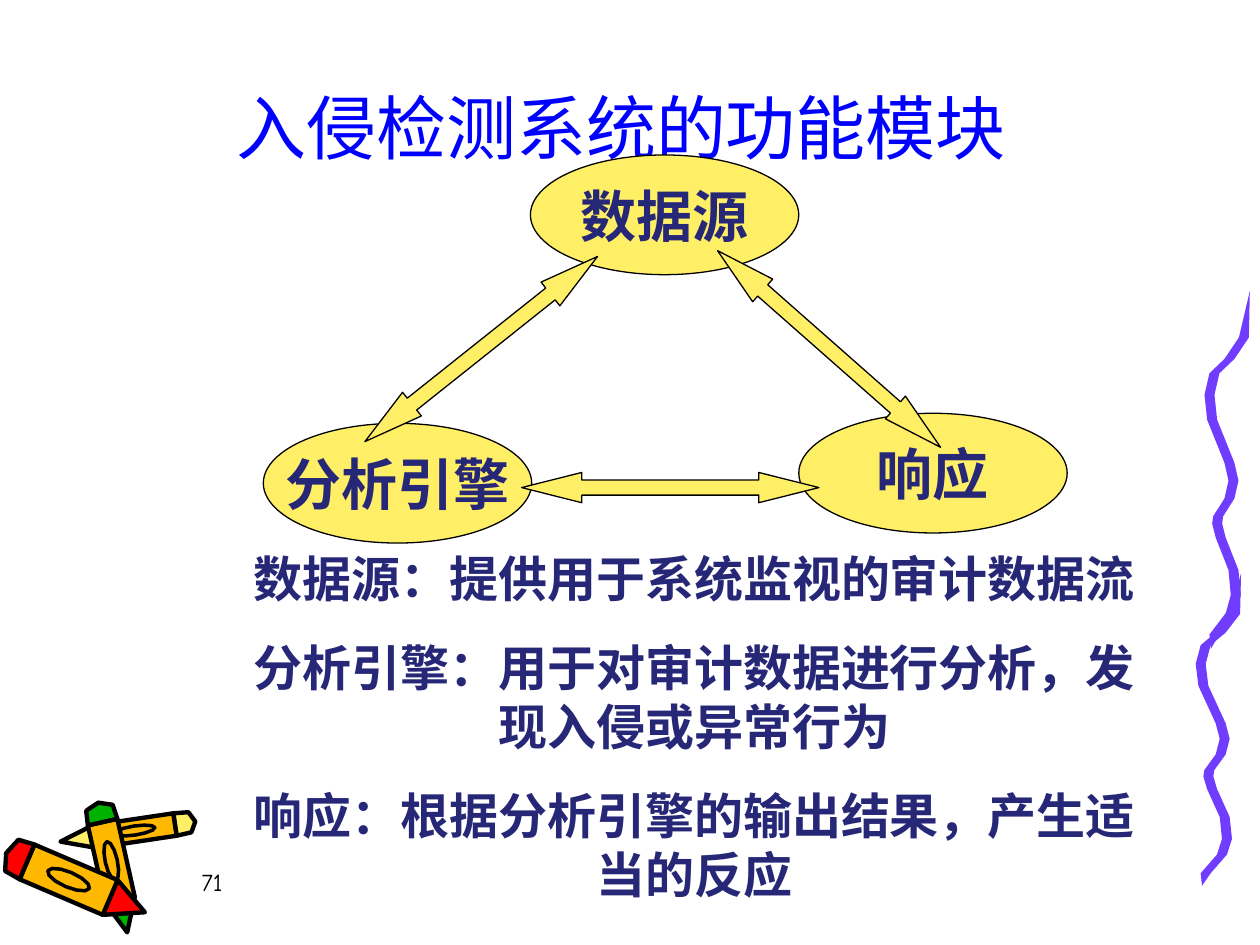
from math import cos, hypot, pi, sin

from pptx import Presentation
from pptx.dml.color import RGBColor
from pptx.enum import shapes, text
from pptx.util import Inches, Pt

BLACK = RGBColor(0x00, 0x00, 0x00)
YELLOW = RGBColor(0xFF, 0xEF, 0x66)
RED = RGBColor(0xFF, 0x00, 0x00)
ORANGE = RGBColor(0xFF, 0xB8, 0x00)
GREEN = RGBColor(0x00, 0xB2, 0x00)
PURPLE = RGBColor(0x70, 0x3D, 0xFF)
BLUE = RGBColor(0x00, 0x00, 0xFF)
NAVY = RGBColor(0x27, 0x27, 0x77)


def paint(sp, color, line_width):
    sp.shadow.inherit = False
    sp.fill.solid()
    sp.fill.fore_color.rgb = color
    if line_width:
        sp.line.color.rgb = BLACK
        sp.line.width = Pt(line_width)
    else:
        sp.line.fill.background()


def write(sp, lines, color, font, frame, para):
    tf = sp.text_frame
    for name, value in frame.items():
        setattr(tf, name, value)
    for i, line in enumerate(lines):
        p = tf.paragraphs[0] if i == 0 else tf.add_paragraph()
        for name, value in para.items():
            if i or name != "space_before":
                setattr(p, name, value)
        r = p.add_run()
        r.text = line
        for name, value in font.items():
            setattr(r.font, name, value)
        r.font.color.rgb = color


prs = Presentation()
prs.slide_width, prs.slide_height = Inches(10), Inches(7.5)
s = prs.slides.add_slide(prs.slide_layouts[6])

cap = [(0.15, -1), (0.04, -0.9), (0, 0), (0.04, 0.9), (0.15, 1)]
barrel = [(0.15, -1), (0.75, -1), (0.75, 1), (0.15, 1)]
tip = [(0.75, -1), (1, 0), (0.75, 1)]
mark = [(0.45 + 0.15 * cos(k * pi / 6), 0.4 * sin(k * pi / 6)) for k in range(12)]

figures = []
for end, point, half_width, end_color in [
    ((1.55, 6.52), (0.48, 6.68), 0.09, YELLOW),
    ((0.78, 6.37), (1.01, 7.4), 0.12, GREEN),
    ((0.05, 6.77), (1.15, 7.24), 0.15, RED),
]:
    along = (point[0] - end[0], point[1] - end[1])
    length = hypot(*along)
    across = (-along[1] / length * half_width, along[0] / length * half_width)
    for part, color, line_width in [
        (tip, end_color, 2.5), (barrel, ORANGE, 2.5), (cap, end_color, 2.5), (mark, ORANGE, 2),
    ]:
        figures.append((end, along, across, part, color, line_width))

bends = [(0.76, 0.13), (0.44, 0.19), (0.11, 0.23), (0, 0.29), (0.06, 0.36), (0.44, 0.48),
         (0.53, 0.53), (0.44, 0.58), (0.19, 0.63), (0.17, 0.65), (0.25, 0.69), (0.53, 0.78),
         (0.58, 0.85), (0.47, 0.9), (0.11, 0.96)]
band = 0.22
right_edge = [(x + band, y) for x, y in reversed(bends)]
ribbon = [(1, 0), *bends, (0.14, 1), *right_edge]
for left, top, width, height in [(9.49, 4.55, 0.36, 2.48), (9.56, 2.31, 0.36, 2.84)]:
    figures.append(((left, top), (width, 0), (0, height), ribbon, PURPLE, 0))

for origin, along, across, part, color, line_width in figures:
    points = [tuple(Inches(origin[i] + a * along[i] + b * across[i]) for i in (0, 1))
              for a, b in part]
    builder = s.shapes.build_freeform(*points[0])
    builder.add_line_segments(points[1:], close=True)
    paint(builder.convert_to_shape(), color, line_width)

center = {"alignment": text.PP_ALIGN.CENTER}
number = s.shapes.add_textbox(Inches(1.5), Inches(6.83), Inches(2.08), Inches(0.5))
write(number, ["71"], BLACK, {"name": "Comic Neue", "size": Pt(14)}, {"word_wrap": True}, {})

title = s.shapes.add_textbox(Inches(0.43), Inches(0.6), Inches(9), Inches(0.79))
write(title, ["入侵检测系统的功能模块"], BLUE, {"name": "Comic Neue", "size": Pt(40)},
      {"word_wrap": True, "vertical_anchor": text.MSO_ANCHOR.BOTTOM}, center)

bold = {"name": "Times New Roman", "size": Pt(32), "bold": True}
for label, x, y in [("数据源", 4.21, 1.23), ("响应", 6.34, 3.28), ("分析引擎", 2.09, 3.36)]:
    sp = s.shapes.add_shape(shapes.MSO_SHAPE.OVAL, Inches(x), Inches(y), Inches(2.13), Inches(0.95))
    paint(sp, YELLOW, 0.75)
    write(sp, [label], NAVY, bold,
          {"word_wrap": False, "vertical_anchor": text.MSO_ANCHOR.MIDDLE}, center)

for x, y, rotation in [(4.14, 3.75, 0), (5.4, 2.65, 41.4), (2.64, 2.65, 321.5)]:
    sp = s.shapes.add_shape(shapes.MSO_SHAPE.LEFT_RIGHT_ARROW,
                            Inches(x), Inches(y), Inches(2.36), Inches(0.24))
    sp.adjustments[1] = 1.99
    sp.rotation = rotation
    paint(sp, YELLOW, 0.75)

modules = [
    "数据源：提供用于系统监视的审计数据流",
    "分析引擎：用于对审计数据进行分析，发现入侵或异常行为",
    "响应：根据分析引擎的输出结果，产生适当的反应",
]
body = s.shapes.add_textbox(Inches(1.77), Inches(4.3), Inches(7.48), Inches(2.92))
write(body, modules, NAVY, {**bold, "size": Pt(28)},
      {"word_wrap": True, "auto_size": text.MSO_AUTO_SIZE.SHAPE_TO_FIT_TEXT},
      {**center, "space_before": Pt(17.5)})

prs.save("out.pptx")
